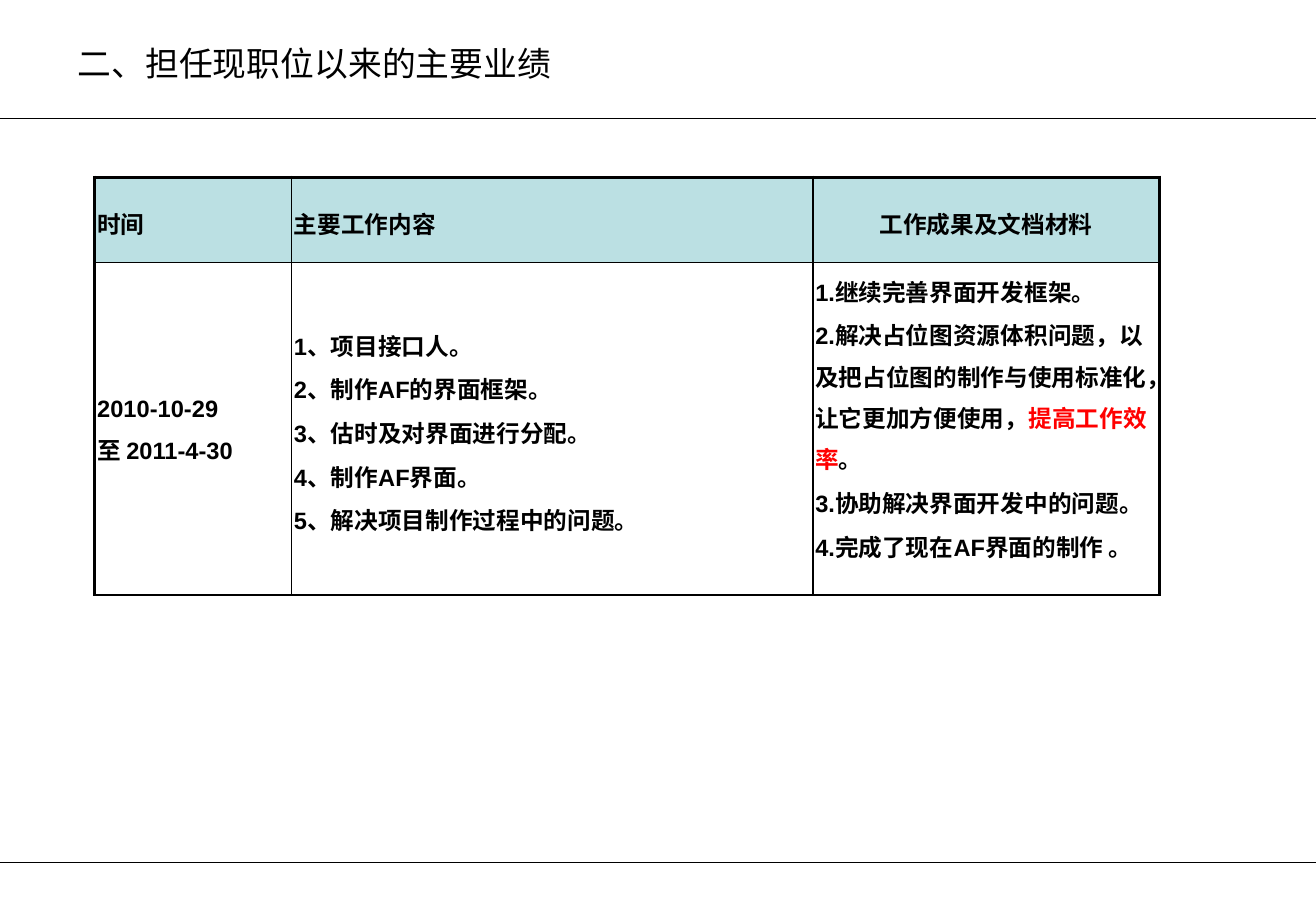
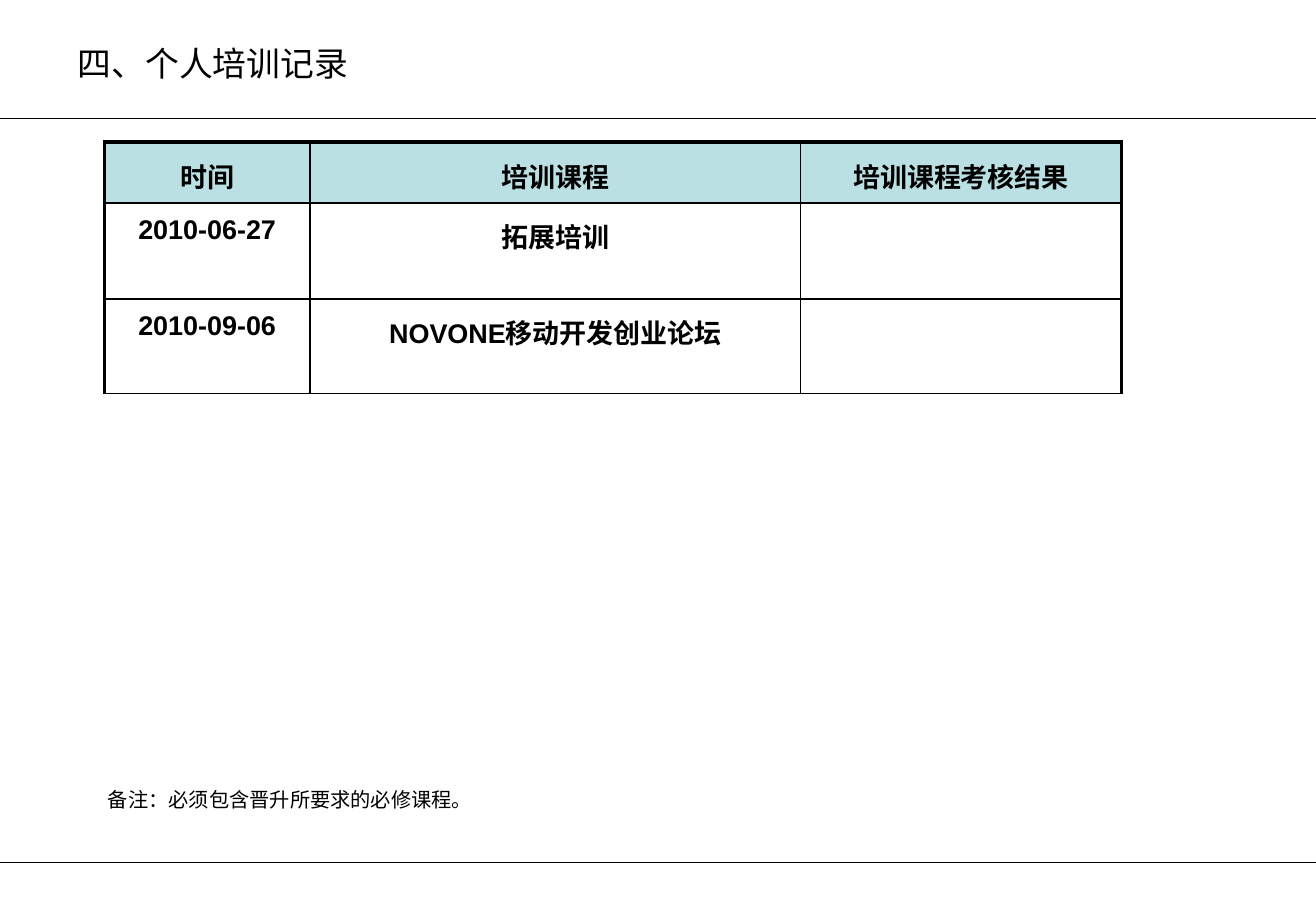
from lxml.etree import SubElement
from pptx import Presentation
from pptx.dml.color import RGBColor
from pptx.enum.shapes import MSO_CONNECTOR
from pptx.enum.text import MSO_ANCHOR, MSO_AUTO_SIZE, PP_ALIGN
from pptx.oxml.ns import qn
from pptx.util import Inches, Pt

BLACK = RGBColor(0x00, 0x00, 0x00)
RED = RGBColor(0xFF, 0x00, 0x00)
HEADER_FILL = RGBColor(0xBB, 0xE0, 0xE3)
LATIN_FONT = "Arial"
CJK_FONT = "Noto Sans CJK SC"
OUTER_BORDER, INNER_BORDER = Pt(2.25), Pt(1)
HIGHLIGHT = "提高工作效率"


def add_run(paragraph, text, size, color=BLACK, latin=LATIN_FONT, bold=False):
    run = paragraph.add_run()
    run.text = text
    run.font.size = Pt(size)
    run.font.bold = bold
    run.font.color.rgb = color
    run.font.name = latin
    SubElement(run.font._element, qn("a:ea"), typeface=CJK_FONT)


def set_borders(cell, widths):
    """Draw solid black borders; widths run left, right, top, bottom."""
    properties = cell._tc.get_or_add_tcPr()
    for side, width in zip("LRTB", widths):
        border = SubElement(properties, qn(f"a:ln{side}"), w=str(width))
        fill = SubElement(border, qn("a:solidFill"))
        SubElement(fill, qn("a:srgbClr"), val=str(BLACK))


prs = Presentation()
prs.slide_width, prs.slide_height = Inches(10.83), Inches(7.5)
layout = prs.slide_layouts[5]
for footer in list(layout.placeholders)[1:]:
    footer.element.getparent().remove(footer.element)

pages = [
    {
        "title": "二、担任现职位以来的主要业绩",
        "title_size": (9.01, 0.62),
        "at": (0.78, 1.46),
        "columns": [1.62, 4.29, 2.85],
        "rows": [0.7, 2.74],
        "font_size": 14,
        "inset": (0.02, 0.02),
        "anchor": MSO_ANCHOR.MIDDLE,
        "centred": [(0, 2)],
        "cells": [
            [["时间"], ["主要工作内容"], ["工作成果及文档材料"]],
            [
                ["2010-10-29", "至 2011-4-30"],
                [
                    "1、项目接口人。",
                    "2、制作AF的界面框架。",
                    "3、估时及对界面进行分配。",
                    "4、制作AF界面。",
                    "5、解决项目制作过程中的问题。",
                ],
                [
                    "1.继续完善界面开发框架。",
                    "2.解决占位图资源体积问题，以及把占位图的制作与使用标准化，"
                    "让它更加方便使用，提高工作效率。",
                    "3.协助解决界面开发中的问题。",
                    "4.完成了现在AF界面的制作 。",
                ],
            ],
        ],
    },
    {
        "title": "四、个人培训记录",
        "title_size": (9.75, 1.25),
        "at": (0.86, 1.17),
        "columns": [1.69, 4.04, 2.64],
        "rows": [0.5, 0.79, 0.78],
        "font_size": 16,
        "inset": (0.1, 0.05),
        "anchor": MSO_ANCHOR.TOP,
        "centred": [(row, column) for row in range(3) for column in range(3)],
        "cells": [
            [["时间"], ["培训课程"], ["培训课程考核结果"]],
            [["2010-06-27"], ["拓展培训"], []],
            [["2010-09-06"], ["NOVONE移动开发创业论坛"], []],
        ],
    },
]

for page in pages:
    slide = prs.slides.add_slide(layout)

    title = slide.shapes.title
    title.left, title.top = Inches(0.54), Inches(0.3)
    title.width, title.height = [Inches(length) for length in page["title_size"]]
    title.text_frame.word_wrap = True
    title.text_frame.auto_size = MSO_AUTO_SIZE.NONE
    title.text_frame.vertical_anchor = MSO_ANCHOR.TOP
    heading = title.text_frame.paragraphs[0]
    heading.alignment = PP_ALIGN.LEFT
    add_run(heading, page["title"], 20, latin=CJK_FONT)

    columns, rows, size = page["columns"], page["rows"], page["font_size"]
    left, top = page["at"]
    table = slide.shapes.add_table(
        len(rows), len(columns), Inches(left), Inches(top),
        Inches(sum(columns)), Inches(sum(rows)),
    ).table
    table.first_row = table.horz_banding = False
    for column, width in zip(table.columns, columns):
        column.width = Inches(width)
    for row, height in zip(table.rows, rows):
        row.height = Inches(height)

    side_inset, edge_inset = [Inches(length) for length in page["inset"]]
    for r, row_texts in enumerate(page["cells"]):
        for c, lines in enumerate(row_texts):
            cell = table.cell(r, c)
            cell.margin_left = cell.margin_right = side_inset
            cell.margin_top = cell.margin_bottom = edge_inset
            cell.vertical_anchor = page["anchor"]
            on_outside = (c == 0, c == len(columns) - 1, r == 0, False)
            set_borders(cell, [OUTER_BORDER if outer else INNER_BORDER
                               for outer in on_outside])
            if r == 0:
                cell.fill.solid()
                cell.fill.fore_color.rgb = HEADER_FILL
            else:
                cell.fill.background()

            for i, line in enumerate(lines):
                frame = cell.text_frame
                paragraph = frame.add_paragraph() if i else frame.paragraphs[0]
                paragraph.line_spacing = 1.2
                paragraph.space_before = Pt(size * 0.1)
                if (r, c) in page["centred"]:
                    paragraph.alignment = PP_ALIGN.CENTER
                for part in filter(None, line.partition(HIGHLIGHT)):
                    color = RED if part == HIGHLIGHT else BLACK
                    add_run(paragraph, part, size, color, bold=True)

achievements, training = prs.slides

# The results column sits slightly above the middle of its row.
results_table = next(s.table for s in achievements.shapes if s.has_table)
results_table.cell(1, 2).margin_bottom = Inches(0.25)

note = training.shapes.add_textbox(Inches(0.79), Inches(6.43), Inches(5.54), Inches(0.3))
note.text_frame.word_wrap = True
note.text_frame.auto_size = MSO_AUTO_SIZE.SHAPE_TO_FIT_TEXT
add_run(note.text_frame.paragraphs[0], "备注：必须包含晋升所要求的必修课程。", 12)

# Rules are drawn on a slide, then moved to the layout that both slides share.
rules = [
    achievements.shapes.add_connector(
        MSO_CONNECTOR.STRAIGHT, 0, Inches(y), prs.slide_width, Inches(y))
    for y in (0.97, 7.1)
]
for rule in rules:
    rule.line.color.rgb = BLACK
    rule.line.width = Pt(0.25)
    SubElement(rule.element.spPr, qn("a:effectLst"))
    layout.shapes.element.append(rule.element)

prs.save("out.pptx")
